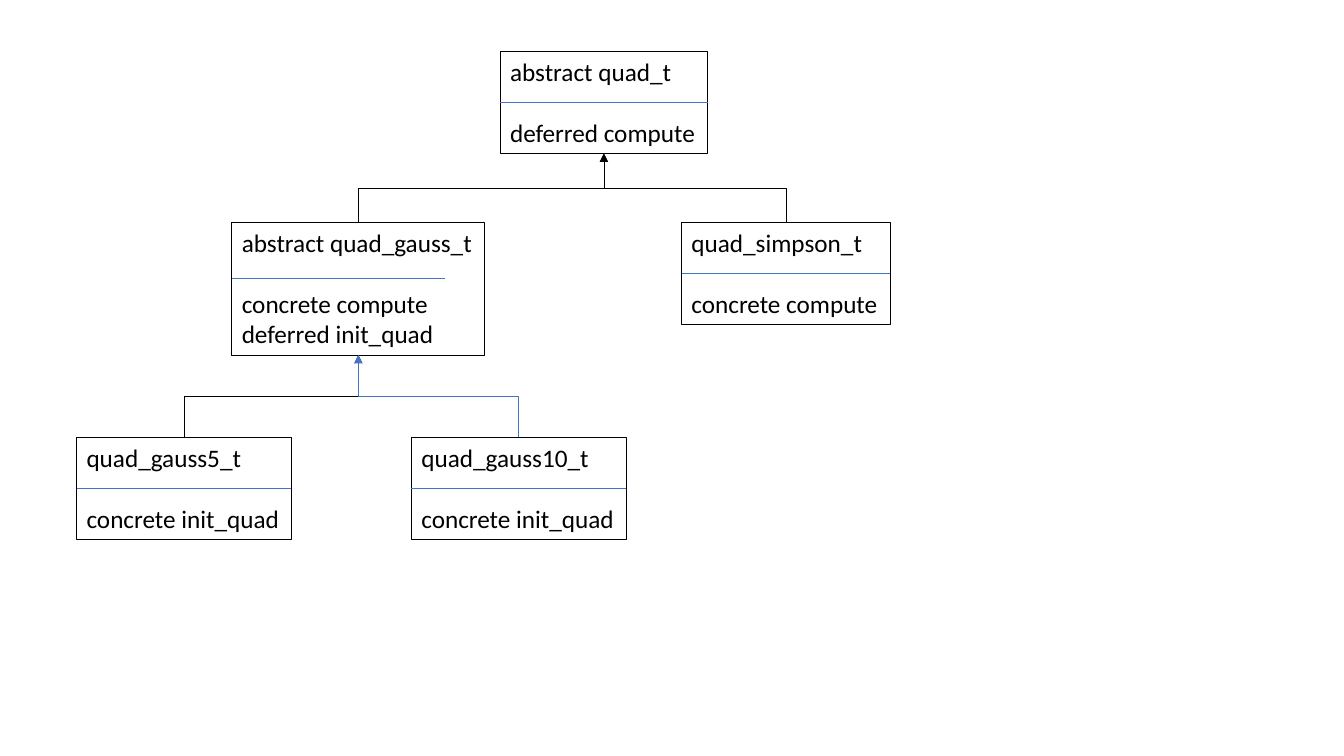
from dataclasses import dataclass
from lxml.etree import SubElement
from pptx import Presentation
from pptx.dml.color import RGBColor
from pptx.enum.shapes import MSO_CONNECTOR as Connector
from pptx.enum.text import MSO_AUTO_SIZE as AutoSize
from pptx.oxml.ns import qn
from pptx.util import Inches, Pt


@dataclass(frozen=True)
class Theme:
    font: str = "Calibri"
    size: Pt = Pt(18)
    line_height: Pt = Pt(22)
    black: RGBColor = RGBColor(0x00, 0x00, 0x00)
    blue: RGBColor = RGBColor(0x44, 0x72, 0xC4)
    border: Pt = Pt(0.75)
    thin: Pt = Pt(0.5)


theme = Theme()
presentation = Presentation()
presentation.slide_width, presentation.slide_height = Inches(13.33), Inches(7.5)
slide = presentation.slides.add_slide(presentation.slide_layouts[6])

# Grid of 100 columns by 100 rows
column = presentation.slide_width / 100
row = presentation.slide_height / 100
level_tops = [6.8, 29.4, 57.87]
padding_rows, line_rows = 1.3, 4.07


def style_line(connector, color):
    connector.line.color.rgb = color
    connector.line.width = theme.thin
    SubElement(connector._element.spPr, qn("a:effectLst"))


# Classes: level, left and width in columns, divider width and drop, name, methods
classes = [
    (0, 37.21, 15.45, 15.45, 6.75, "abstract quad_t", ["deferred compute"]),
    (1, 17.25, 18.83, 15.9, 7.4, "abstract quad_gauss_t",
     ["concrete compute", "deferred init_quad"]),
    (1, 50.71, 15.53, 15.53, 6.75, "quad_simpson_t", ["concrete compute"]),
    (2, 5.7, 15.98, 15.98, 6.75, "quad_gauss5_t", ["concrete init_quad"]),
    (2, 30.61, 15.98, 15.98, 6.75, "quad_gauss10_t", ["concrete init_quad"]),
]
boxes = {}
for level, left, width, divider_width, drop, name, methods in classes:
    group = slide.shapes.add_group_shape()
    top = level_tops[level]
    height = padding_rows + line_rows * (len(methods) + 2)
    box = group.shapes.add_textbox(int(left * column), int(top * row),
                                   int(width * column), int(height * row))
    box.line.color.rgb = theme.black
    box.line.width = theme.border
    frame = box.text_frame
    frame.word_wrap = False
    frame.auto_size = AutoSize.SHAPE_TO_FIT_TEXT
    frame.text = "\n".join([name, *methods])
    for paragraph in frame.paragraphs:
        paragraph.font.name = theme.font
        paragraph.font.size = theme.size
        paragraph.font.color.rgb = theme.black
    frame.paragraphs[1].space_before = theme.line_height
    boxes[name] = box

    # Divider between name and methods
    divider_y = int((top + drop) * row)
    divider = group.shapes.add_connector(
        Connector.STRAIGHT, box.left, divider_y,
        int((left + divider_width) * column), divider_y)
    style_line(divider, theme.blue)

# Inheritance arrows: child, parent, colour, arrowhead
arrows = [
    ("abstract quad_gauss_t", "abstract quad_t", theme.black, "stealth"),
    ("quad_simpson_t", "abstract quad_t", theme.black, "triangle"),
    ("quad_gauss5_t", "abstract quad_gauss_t", theme.black, "stealth"),
    ("quad_gauss10_t", "abstract quad_gauss_t", theme.blue, "triangle"),
]
top_site, bottom_site = 0, 2
for child, parent, color, head in arrows:
    arrow = slide.shapes.add_connector(Connector.ELBOW, 0, 0, 0, 0)
    arrow.begin_connect(boxes[child], top_site)
    arrow.end_connect(boxes[parent], bottom_site)

    # Turn the elbow so that it leaves the child vertically
    run, rise = arrow.width, arrow.height
    center_x = arrow.left + run // 2
    center_y = arrow.top + rise // 2
    from_right = arrow.begin_x > arrow.end_x
    arrow.left, arrow.top = center_x - rise // 2, center_y - run // 2
    arrow.width, arrow.height = rise, run
    transform = arrow._element.spPr.find(qn("a:xfrm"))
    transform.set("rot", str(270 * 60000))
    transform.set("flipH", "0")
    transform.set("flipV", str(int(from_right)))

    style_line(arrow, color)
    SubElement(arrow.line._get_or_add_ln(), qn("a:tailEnd"), type=head)

presentation.save("out.pptx")
